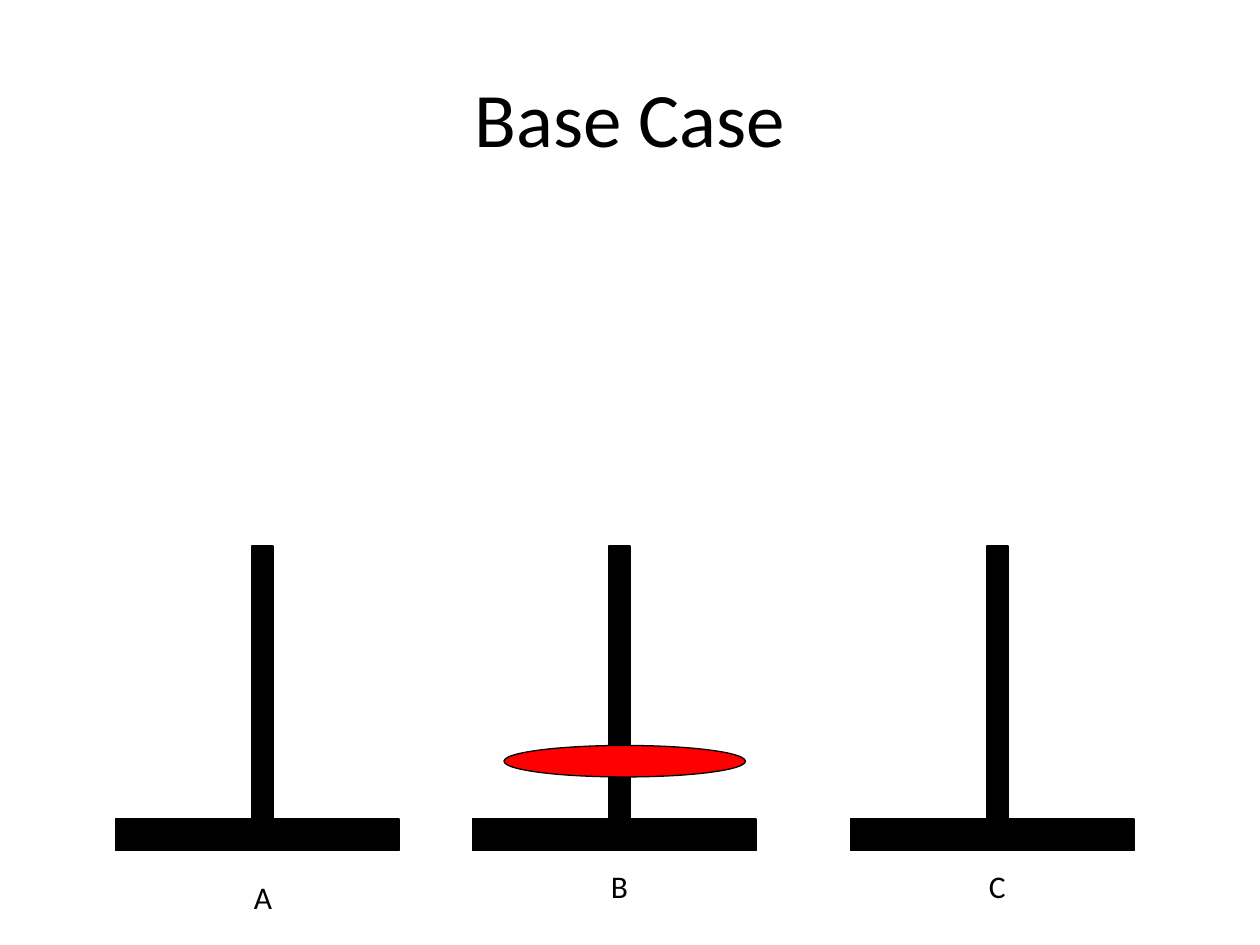
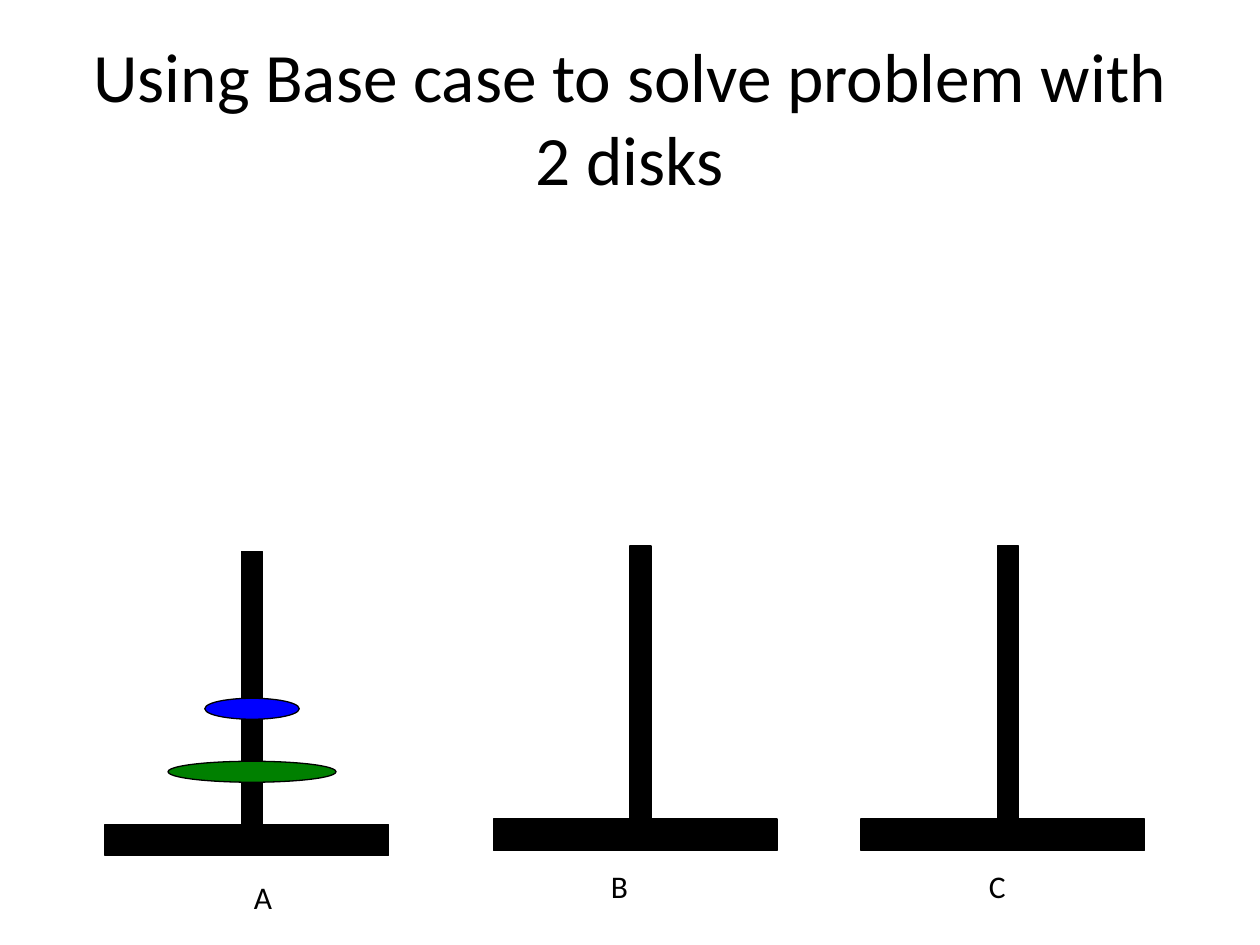
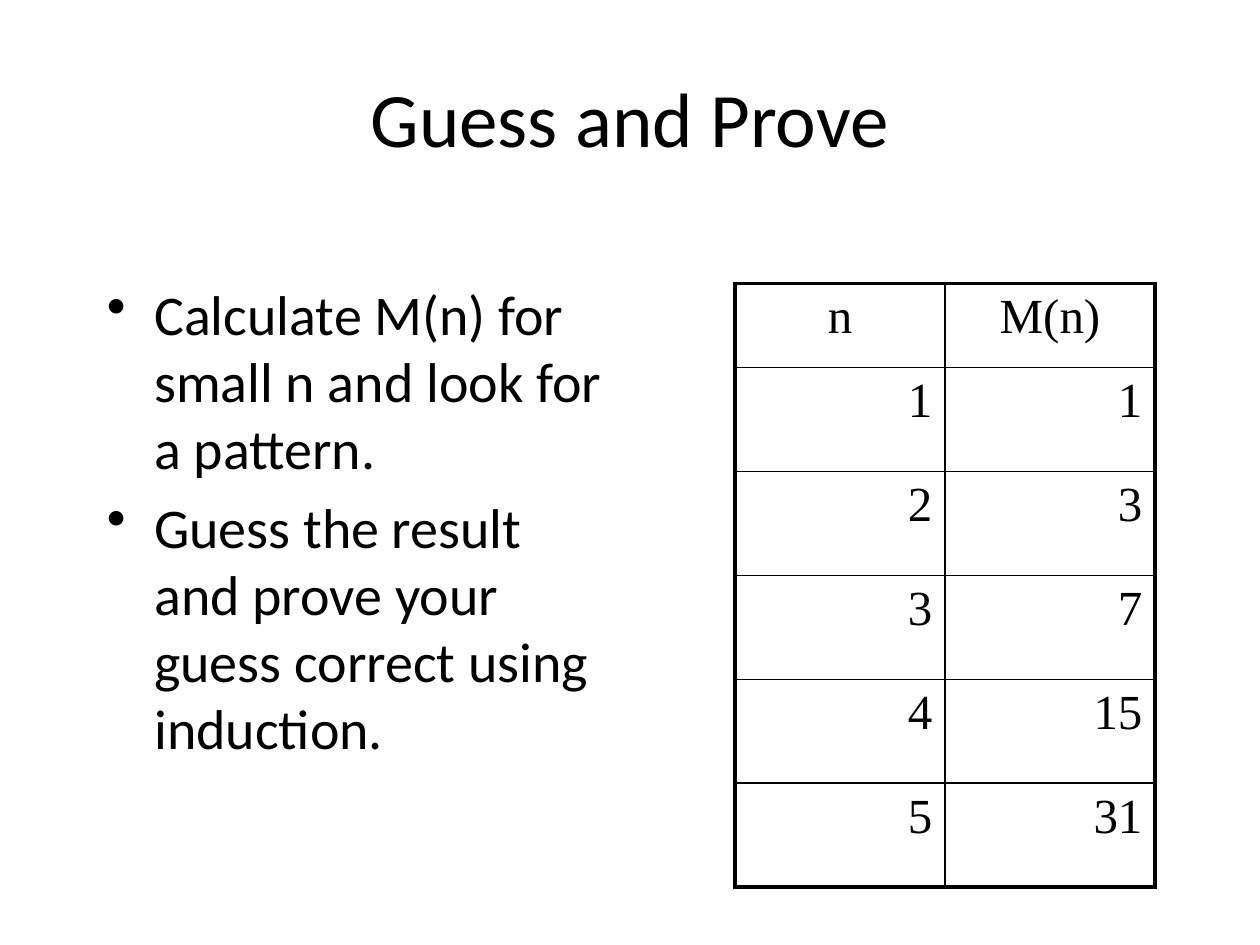
import dataclasses

import pptx
import pptx.dml.color
import pptx.enum.shapes
import pptx.enum.text
import pptx.oxml
import pptx.oxml.ns
import pptx.util

PX = 7620  # EMU, 120 px to the inch
ALIGN = pptx.enum.text.PP_ALIGN
ANCHOR = pptx.enum.text.MSO_ANCHOR
SHAPE = pptx.enum.shapes.MSO_SHAPE

BASE_W, BASE_H = 270, 30
POST_W, POST_H = 20, 260
POST_DX = 130
LABELS = (("A", 230, 830), ("B", 570, 820), ("C", 930, 820))


@dataclasses.dataclass(frozen=True)
class Theme:
    ink: str = "000000"
    red: str = "FF0000"
    green: str = "008000"
    blue: str = "0000FF"
    font: str = "Calibri"
    table_font: str = "Times New Roman"
    title: float = 44
    long_title: float = 39.6
    body: float = 32
    table: float = 28
    label: float = 18
    outline: float = 0.75
    inner: float = 1
    outer: float = 2.25
    para_gap: float = 0.2


THEME = Theme()


def px(*lengths):
    return [pptx.util.Emu(n * PX) for n in lengths]


def rgb(colour):
    return pptx.dml.color.RGBColor.from_string(colour)


def add_run(p, text, size, font=THEME.font):
    r = p.add_run()
    r.text = text
    r.font.size = pptx.util.Pt(size)
    r.font.name = font
    r.font.color.rgb = rgb(THEME.ink)


def add_text_frame(slide, x, y, w, h):
    tf = slide.shapes.add_textbox(*px(x, y, w, h)).text_frame
    tf.word_wrap = True
    return tf


def add_title(slide, text, size=THEME.title):
    tf = add_text_frame(slide, 60, 36, 1080, 150)
    tf.vertical_anchor = ANCHOR.MIDDLE
    p = tf.paragraphs[0]
    p.alignment = ALIGN.CENTER
    add_run(p, text, size)


def add_labels(slide):
    for text, x, y in LABELS:
        tf = add_text_frame(slide, x, y, 120, 48)
        tf.auto_size = pptx.enum.text.MSO_AUTO_SIZE.SHAPE_TO_FIT_TEXT
        add_run(tf.paragraphs[0], text, THEME.label)


def add_solid(shapes, kind, x, y, w, h, colour):
    sp = shapes.add_shape(kind, *px(x, y, w, h))
    sp.shadow.inherit = False
    sp.fill.solid()
    sp.fill.fore_color.rgb = rgb(colour)
    sp.line.color.rgb = rgb(THEME.ink)
    sp.line.width = pptx.util.Pt(THEME.outline)


def add_disk(shapes, x, y, w, h, colour):
    add_solid(shapes, SHAPE.OVAL, x, y, w, h, colour)


def add_peg(slide, x, y=780, disks=()):
    """Group a base whose top left is at x, y with its post and disks."""
    shapes = slide.shapes.add_group_shape().shapes
    add_solid(shapes, SHAPE.RECTANGLE, x, y, BASE_W, BASE_H, THEME.ink)
    add_solid(shapes, SHAPE.RECTANGLE, x + POST_DX, y - POST_H, POST_W, POST_H, THEME.ink)
    for disk in disks:
        add_disk(shapes, *disk)


def add_bullets(slide, x, y, w, h, items):
    tf = add_text_frame(slide, x, y, w, h)
    indent = px(45)[0]
    for i, text in enumerate(items):
        p = tf.add_paragraph() if i else tf.paragraphs[0]
        p.space_before = pptx.util.Pt(THEME.body * THEME.para_gap)
        pPr = p._p.get_or_add_pPr()
        pPr.set("marL", str(indent))
        pPr.set("indent", str(-indent))
        pptx.oxml.ns.qn("a:buChar")
        pPr.append(pptx.oxml.parse_xml(
            f'<a:buChar {pptx.oxml.ns.nsdecls("a")} char="•"/>'))
        add_run(p, text, THEME.body)


def set_border(cell, side, width):
    cell._tc.get_or_add_tcPr().append(pptx.oxml.parse_xml(
        f'<a:ln{side} {pptx.oxml.ns.nsdecls("a")} w="{pptx.util.Pt(width)}">'
        f'<a:solidFill><a:srgbClr val="{THEME.ink}"/></a:solidFill></a:ln{side}>'))


def add_grid(slide, x, y, col_w, row_heights, rows):
    """Add a table with a centred header, thin inner lines and a thick frame."""
    n_rows, n_cols = len(rows), len(rows[0])
    frame = slide.shapes.add_table(
        n_rows, n_cols, *px(x, y, col_w * n_cols, sum(row_heights)))
    table = frame.table
    table.first_row = table.horz_banding = False
    for col in table.columns:
        col.width = px(col_w)[0]
    for i, values in enumerate(rows):
        table.rows[i].height = px(row_heights[i])[0]
        for j, value in enumerate(values):
            cell = table.cell(i, j)
            p = cell.text_frame.paragraphs[0]
            p.alignment = ALIGN.RIGHT if i else ALIGN.CENTER
            p.space_before = pptx.util.Pt(THEME.table * THEME.para_gap)
            add_run(p, str(value), THEME.table, THEME.table_font)
            on_frame = {"L": j == 0, "R": j == n_cols - 1,
                        "T": i == 0, "B": i == n_rows - 1}
            for side, outer in on_frame.items():
                set_border(cell, side, THEME.outer if outer else THEME.inner)
            cell.fill.background()


def build_base_case(slide):
    add_title(slide, "Base Case")
    for x in (110, 450, 810):
        add_peg(slide, x)
    add_labels(slide)
    add_disk(slide.shapes, 480, 710, 230, 30, THEME.red)


def build_two_disks(slide):
    add_title(slide, "Using Base case to solve problem with 2 disks", THEME.long_title)
    add_peg(slide, 100, 785, [(160, 725, 160, 20, THEME.green),
                              (195, 665, 90, 20, THEME.blue)])
    for x in (470, 820):
        add_peg(slide, x)
    add_labels(slide)


def build_guess_and_prove(slide):
    add_title(slide, "Guess and Prove")
    add_bullets(slide, 90, 260, 510, 540, [
        "Calculate M(n) for small n and look for a pattern.",
        "Guess the result and prove your guess correct using induction.",
    ])
    rows = [("n", "M(n)"), (1, 1), (2, 3), (3, 7), (4, 15), (5, 31)]
    add_grid(slide, 700, 270, 200, [80] + [99] * 5, rows)


def main():
    prs = pptx.Presentation()
    prs.slide_width, prs.slide_height = px(1200, 900)
    for build in (build_base_case, build_two_disks, build_guess_and_prove):
        build(prs.slides.add_slide(prs.slide_layouts[6]))
    prs.save("out.pptx")


if __name__ == "__main__":
    main()
